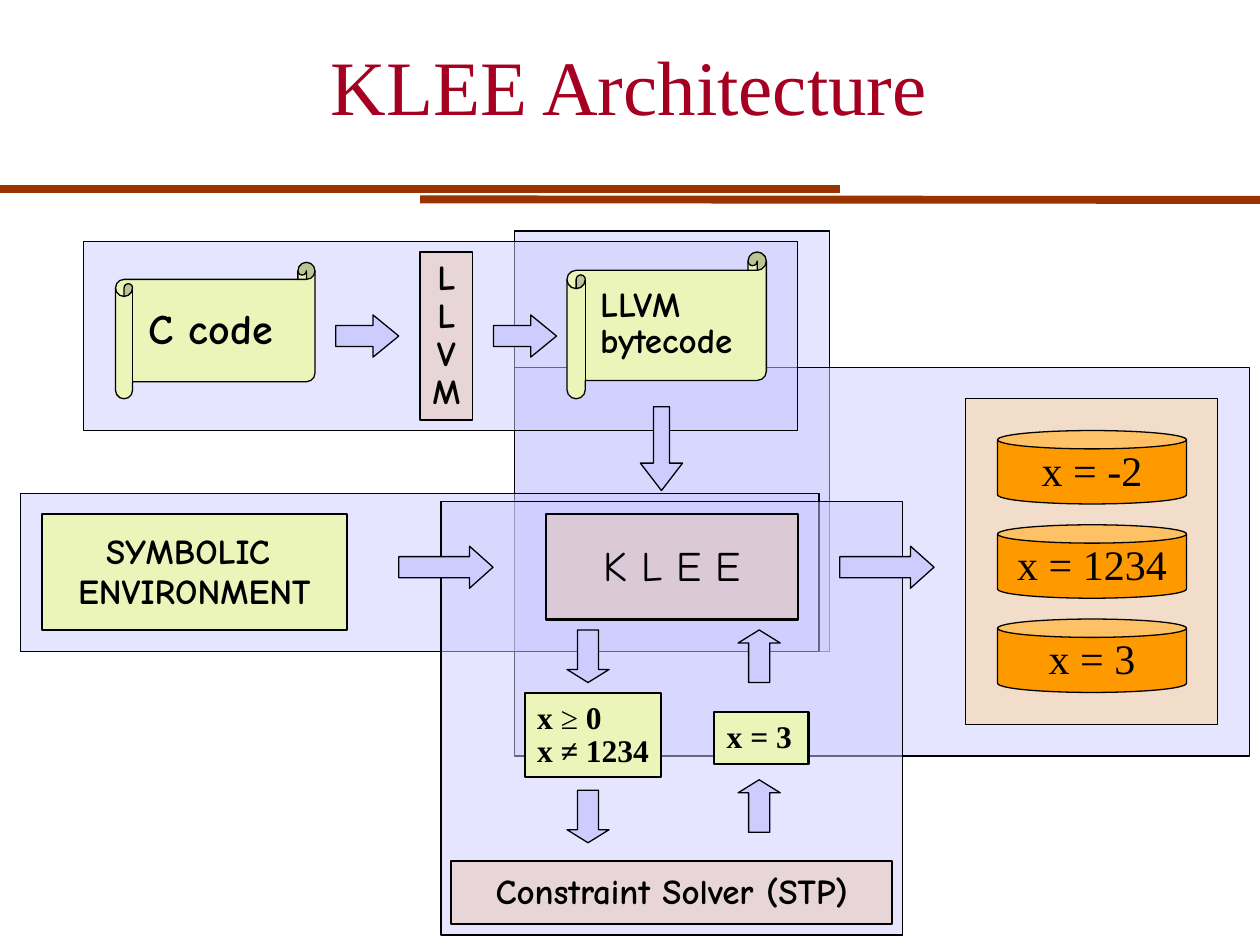
from lxml import etree
from pptx import Presentation
from pptx.dml.color import RGBColor
from pptx.enum.shapes import MSO_CONNECTOR, MSO_SHAPE
from pptx.enum.text import MSO_ANCHOR, PP_ALIGN
from pptx.oxml.ns import qn
from pptx.util import Cm, Pt

RECT, CAN, SCROLL = MSO_SHAPE.RECTANGLE, MSO_SHAPE.CAN, MSO_SHAPE.HORIZONTAL_SCROLL
RIGHT, DOWN, UP = MSO_SHAPE.RIGHT_ARROW, MSO_SHAPE.DOWN_ARROW, MSO_SHAPE.UP_ARROW
STRAIGHT = MSO_CONNECTOR.STRAIGHT
LEFT, CENTER = PP_ALIGN.LEFT, PP_ALIGN.CENTER
TOP, MIDDLE = MSO_ANCHOR.TOP, MSO_ANCHOR.MIDDLE

COLORS = {
    "rule": "993300", "title": "A50021", "black": "000000", "lilac": "CCCCFF",
    "peach": "FFD597", "lime": "ECF5B9", "rose": "EAC6B0", "orange": "FF9900",
}
SERIF, COMIC = "Times New Roman", "Comic Neue"

# Text formats: font values and paragraph values
TITLE = {"name": SERIF, "size": Pt(44)}, {"alignment": CENTER, "line_spacing": 0.95}
LABEL = {"name": COMIC, "size": Pt(20), "bold": True}, {"alignment": CENTER, "line_spacing": 0.95}
STACK = LABEL[0], {"alignment": CENTER, "line_spacing": 0.9}
BYTECODE = LABEL[0], {"alignment": LEFT, "line_spacing": 0.85}
SPACED = {"alignment": CENTER, "line_spacing": 0.95, "space_before": Pt(6)}
ENGINE = {"name": COMIC, "size": Pt(24)}, SPACED
VALUE = {"name": SERIF, "size": Pt(24)}, SPACED
SOURCE = {"name": COMIC, "size": Pt(24), "bold": True}, {**SPACED, "alignment": LEFT}
FORMULA = {"name": SERIF, "size": Pt(18), "bold": True}, {**SPACED, "alignment": LEFT}
TIGHT = {"space_before": Pt(0), "line_spacing": 0.85}


def color(name):
    return RGBColor.from_string(COLORS[name])


def set_format(target, values):
    for key, value in values.items():
        setattr(target, key, value)


class Diagram:
    def __init__(self, slide):
        self.s = slide

    def rule(self, *ends):
        line = self.s.shapes.add_connector(STRAIGHT, *map(Cm, ends))
        line.line.color.rgb = color("rule")
        line.line.width = Pt(4.5)
        etree.SubElement(line._element.spPr, qn("a:effectLst"))

    def shape(self, kind, box, fill, width=0.75, alpha=None, adj=()):
        sp = self.s.shapes.add_shape(kind, *map(Cm, box))
        sp.shadow.inherit = False
        sp.fill.solid()
        sp.fill.fore_color.rgb = color(fill)
        if alpha:
            clr = sp._element.spPr.find(qn("a:solidFill"))[0]
            etree.SubElement(clr, qn("a:alpha"), val=str(alpha * 1000))
        sp.line.color.rgb = color("black")
        sp.line.width = Pt(width)
        for i, value in enumerate(adj):
            sp.adjustments[i] = value
        return sp

    def fill_text(self, sp, lines, style, ink="black", wrap=False, anchor=MIDDLE):
        font, layout = style
        tf = sp.text_frame
        set_format(tf, {"word_wrap": wrap, "vertical_anchor": anchor})
        for i, line in enumerate(lines):
            p = tf.add_paragraph() if i else tf.paragraphs[0]
            set_format(p, layout)
            for part in [line] if isinstance(line, str) else line:
                r = p.add_run()
                r.text = part
                set_format(r.font, font)
                r.font.color.rgb = color(ink)
        return tf

    def text(self, box, lines, style, **options):
        tb = self.s.shapes.add_textbox(*map(Cm, box))
        self.fill_text(tb, lines, style, **options)
        return tb

    def scroll(self, box, text_box, text, style, wrap):
        sp = self.shape(SCROLL, box, "lime", adj=[0.125])
        tb = self.text(text_box, [text], style, wrap=wrap, anchor=TOP)
        self.s.shapes.add_group_shape([sp, tb])

    def box(self, box, fill, lines, style, kind=RECT, **options):
        return self.fill_text(self.shape(kind, box, fill, **options), lines, style)


prs = Presentation()
prs.slide_width, prs.slide_height = Cm(25.4), Cm(19.05)
d = Diagram(prs.slides.add_slide(prs.slide_layouts[6]))

# Title and double rule
d.rule(0, 3.81, 16.93, 3.81)
d.rule(8.47, 4.02, 25.4, 4.03)
d.text((1.47, 0.2, 22.43, 3.18), ["KLEE Architecture"], TITLE, ink="title", wrap=True)

# Overlapping translucent panels
for panel in [(10.37, 4.66, 6.35, 8.47), (10.37, 7.41, 14.82, 7.83),
              (0.42, 9.95, 16.09, 3.18), (1.69, 4.87, 14.39, 3.81),
              (8.89, 10.11, 9.31, 8.74)]:
    d.shape(RECT, panel, "lilac", alpha=50)
d.shape(RECT, (19.47, 8.04, 5.08, 6.56), "peach", alpha=50)

# Source code, compiler and bytecode
d.scroll((2.33, 5.29, 4.02, 2.75), (2.75, 6.04, 3.25, 1.27), "C code", SOURCE, False)
d.box((8.47, 5.08, 1.06, 3.39), "rose", list("LLVM"), STACK, alpha=50)
d.scroll((11.43, 5.08, 4.02, 2.96), (11.85, 5.71, 3.84, 1.73), "LLVM bytecode", BYTECODE, True)

# Engine, environment and solver
d.box((11.01, 10.37, 5.08, 2.12), "rose", ["K L E E"], ENGINE, width=1.25, alpha=50)
d.box((0.85, 10.37, 6.14, 2.33), "lime", ["SYMBOLIC ", "ENVIRONMENT"], LABEL, width=1.25)
d.box((9.1, 17.36, 8.89, 1.27), "rose", ["Constraint Solver (STP)"], LABEL, width=1.25, alpha=50)

# Constraints and solution
tf = d.box((10.58, 13.97, 2.75, 1.69), "lime", [("x ", "≥", " 0"), "x ≠ 1234"], FORMULA, width=1.25)
tf.paragraphs[0].runs[1].font.bold = False
set_format(tf.paragraphs[1], TIGHT)
d.box((14.4, 14.35, 1.9, 1.06), "lime", ["x = 3"], FORMULA, width=1.25)

# Generated test inputs
for i, value in enumerate(["x = -2", "x = 1234", "x = 3"]):
    d.box((20.11, 8.68 + 1.9 * i, 3.81, 1.48), "orange", [value], VALUE, kind=CAN, adj=[0.25])

# Arrows
for kind, box, adj in [
    (RIGHT, (6.77, 6.35, 1.27, 0.85), (0.5, 0.61)),
    (RIGHT, (9.95, 6.35, 1.27, 0.85), (0.5, 0.61)),
    (DOWN, (12.91, 8.2, 0.85, 1.69), (0.38, 0.65)),
    (RIGHT, (8.04, 11.01, 1.9, 0.85), (0.5, 0.56)),
    (RIGHT, (16.93, 11.01, 1.9, 0.85), (0.5, 0.56)),
    (DOWN, (11.43, 12.7, 0.85, 1.06), (0.5, 0.31)),
    (DOWN, (11.43, 15.93, 0.85, 1.06), (0.5, 0.31)),
    (UP, (14.88, 12.7, 0.85, 1.06), (0.5, 0.31)),
    (UP, (14.88, 15.72, 0.85, 1.06), (0.5, 0.31)),
]:
    d.shape(kind, box, "lilac", adj=adj)

prs.save("out.pptx")
